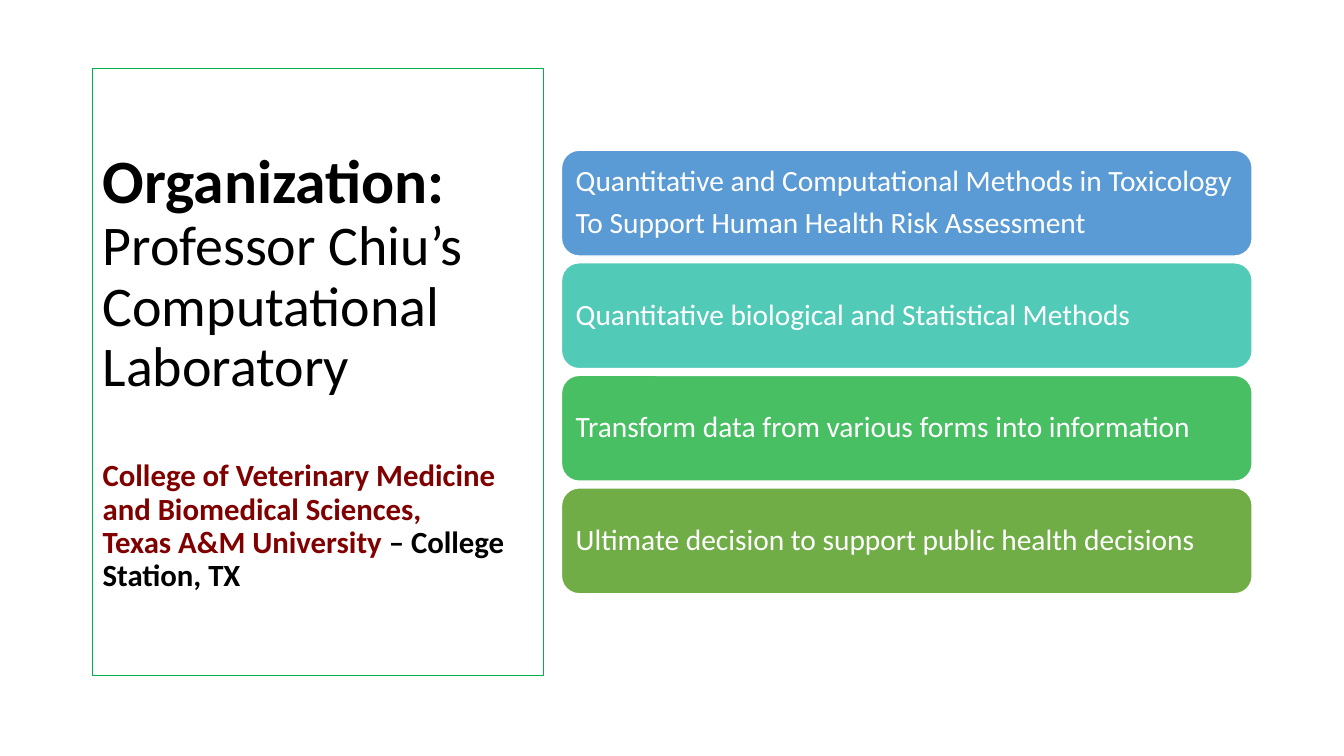
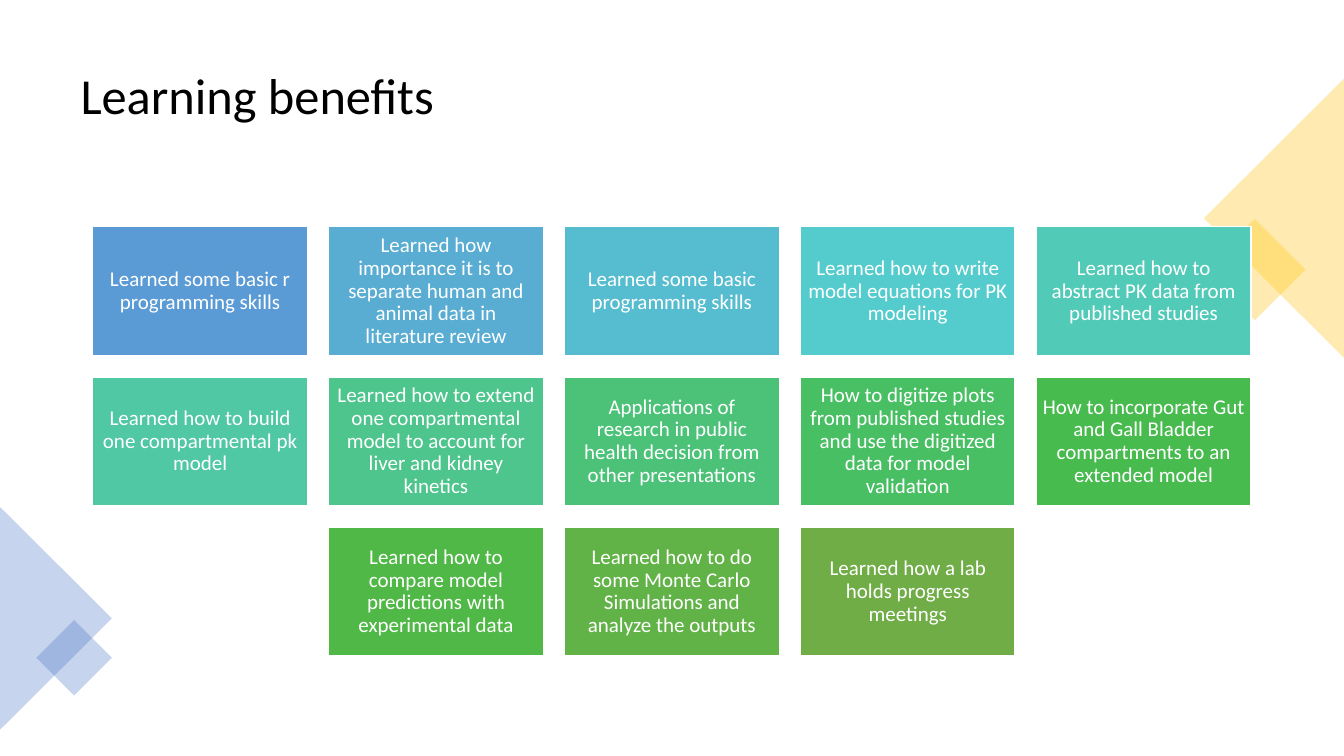
from lxml import etree
from pptx import Presentation
from pptx.dml.color import RGBColor
from pptx.enum.shapes import MSO_SHAPE
from pptx.enum.text import MSO_ANCHOR, PP_ALIGN
from pptx.oxml.ns import qn
from pptx.util import Inches, Pt

RECTANGLE = MSO_SHAPE.RECTANGLE
ROUNDED = MSO_SHAPE.ROUNDED_RECTANGLE
TRIANGLE = MSO_SHAPE.ISOSCELES_TRIANGLE
MIDDLE = MSO_ANCHOR.MIDDLE
LEFT, CENTER = PP_ALIGN.LEFT, PP_ALIGN.CENTER

BLACK = RGBColor(0x00, 0x00, 0x00)
WHITE = RGBColor(0xFF, 0xFF, 0xFF)
MAROON = RGBColor(0x80, 0x00, 0x00)
GREEN = RGBColor(0x00, 0xB0, 0x50)
GOLD = RGBColor(0xFF, 0xC0, 0x00)
BLUE = RGBColor(0x44, 0x72, 0xC4)
# Blue-to-green ramp for the filled boxes
RAMP = [RGBColor.from_string(code) for code in (
    "5B9BD5", "59ACD2", "56BCD0", "54CCCD", "52CAB8", "4FC8A3", "4DC58D",
    "4BC278", "49BF64", "48BB4F", "50B846", "61B247", "70AD47")]


class Board:
    """Style and current slide; places are percentages of the slide's size."""
    font = "Calibri"
    line_spacing = 0.9
    gap_share = 0.35

    def __init__(self):
        self.deck = Presentation()
        self.deck.slide_width = Inches(13.33)
        self.deck.slide_height = Inches(7.5)
        self.page = None

    def new_page(self):
        self.page = self.deck.slides.add_slide(self.deck.slide_layouts[6])

    def place(self, left, top, width, height):
        across = self.deck.slide_width / 100
        down = self.deck.slide_height / 100
        return (round(left * across), round(top * down),
                round(width * across), round(height * down))

    def style_span(self, span, size, color, bold=False):
        span.font.name = self.font
        span.font.size = Pt(size)
        span.font.color.rgb = color
        span.font.bold = bold

    def title(self, place, paragraphs, outline=None):
        """Each paragraph is (space before, [(text, size, colour, bold), ...])."""
        box = self.page.shapes.add_textbox(*self.place(*place))
        frame = box.text_frame
        frame.word_wrap = True
        frame.vertical_anchor = MIDDLE
        if outline is not None:
            box.line.color.rgb = outline
            box.line.width = Pt(0.75)
        for index, (space, spans) in enumerate(paragraphs):
            para = frame.add_paragraph() if index else frame.paragraphs[0]
            para.line_spacing = self.line_spacing
            para.space_before = Pt(space)
            for text, *style in spans:
                span = para.add_run()
                span.text = text
                self.style_span(span, *style)

    def filled_box(self, kind, place, color, text, size, inset, align):
        box = self.page.shapes.add_shape(kind, *self.place(*place))
        box.shadow.inherit = False
        box.fill.solid()
        box.fill.fore_color.rgb = color
        box.line.color.rgb = WHITE
        box.line.width = Pt(1)
        frame = box.text_frame
        frame.word_wrap = True
        frame.vertical_anchor = MIDDLE
        frame.margin_left = frame.margin_right = Inches(inset)
        frame.margin_top = frame.margin_bottom = Inches(inset)
        frame.text = text
        for para in frame.paragraphs:
            para.alignment = align
            para.line_spacing = self.line_spacing
            para.space_after = Pt(size * self.gap_share)
            for span in para.runs:
                self.style_span(span, size, WHITE)

    def accent(self, kind, place, turn, color):
        """A see-through corner ornament."""
        ornament = self.page.shapes.add_shape(kind, *self.place(*place))
        ornament.shadow.inherit = False
        ornament.rotation = turn
        ornament.line.fill.background()
        ornament.fill.solid()
        ornament.fill.fore_color.rgb = color
        tint = ornament.fill._xPr.find(qn("a:solidFill"))[0]
        etree.SubElement(tint, qn("a:alpha")).set("val", "30000")


board = Board()

# Organization: outlined title panel
board.new_page()
board.title((6.9, 9.07, 33.53, 80.27), [
    (0, [("Organization: ", 44, BLACK, True),
         ("Professor Chiu’s Computational Laboratory", 40, BLACK)]),
    (44, [("College of Veterinary Medicine and Biomedical Sciences,",
           22, MAROON, True)]),
    (0, [("Texas A&M University ", 22, MAROON, True),
         ("– College Station, TX", 22, BLACK, True)]),
], GREEN)

# Organization: stacked topic bars
TOPICS = [
    "Quantitative and Computational Methods in Toxicology \n"
    "To Support Human Health Risk Assessment ",
    "Quantitative biological and Statistical Methods",
    "Transform data from various forms into information",
    "Ultimate decision to support public health decisions",
]
for row, (topic, color) in enumerate(zip(TOPICS, RAMP[::4])):
    board.filled_box(ROUNDED, (41.78, 19.87 + row * 14.89, 51.39, 14),
                     color, topic, 21, 0.09, LEFT)

# Learning benefits: title and corner ornaments
board.new_page()
board.title((5.25, 4.67, 89.5, 16.53),
            [(0, [("Learning benefits", 36, BLACK)])])
board.accent(RECTANGLE, (90.7, 30.93, 5.33, 9.47), 45, GOLD)
board.accent(TRIANGLE, (84.4, 19.6, 20.78, 18.53), 270, GOLD)
board.accent(TRIANGLE, (-4.13, 74.4, 16.58, 14.8), 90, BLUE)
board.accent(RECTANGLE, (3.53, 83.47, 3.98, 7.07), 45, BLUE)

# Learning benefits: five columns, with the short last row centred
BENEFITS = [
    "Learned some basic r programming skills",
    "Learned how importance it is to separate human and animal data in "
    "literature review",
    "Learned some basic programming skills",
    "Learned how to write model equations for PK modeling",
    "Learned how to abstract PK data from published studies",
    "Learned how to build one compartmental pk model",
    "Learned how to extend one compartmental model to account for liver and "
    "kidney kinetics",
    "Applications of research in public health decision from other "
    "presentations",
    "How to digitize plots from published studies and use the digitized data "
    "for model validation",
    "How to incorporate Gut and Gall Bladder compartments to an extended model",
    "Learned how to compare model predictions with experimental data",
    "Learned how to do some Monte Carlo Simulations and analyze the outputs",
    "Learned how a lab holds progress meetings",
]
COLUMNS = 5
for index, (benefit, color) in enumerate(zip(BENEFITS, RAMP)):
    row, column = divmod(index, COLUMNS)
    in_row = min(COLUMNS, len(BENEFITS) - row * COLUMNS)
    column += (COLUMNS - in_row) / 2
    board.filled_box(RECTANGLE,
                     (6.9 + column * 17.55, 30 + row * 19.87, 15.98, 17.07),
                     color, benefit, 15, 0.06, CENTER)

board.deck.save("out.pptx")
